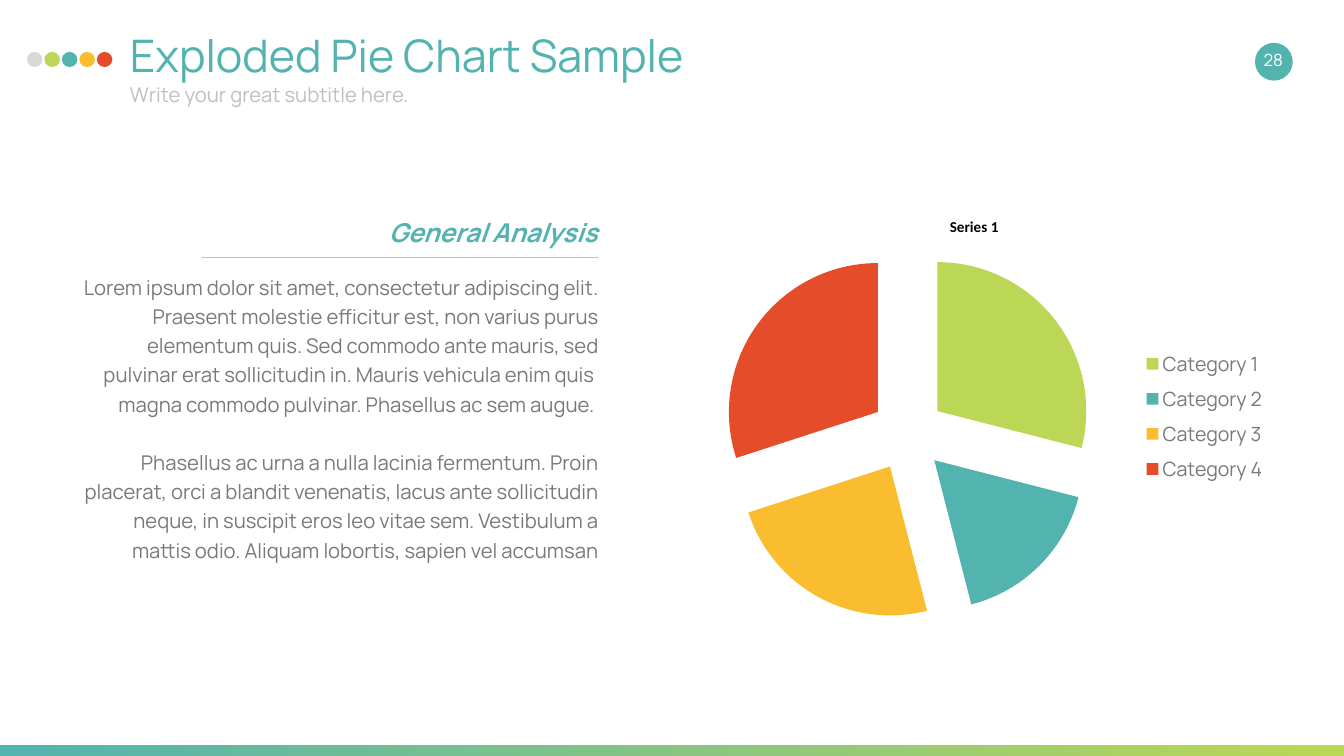
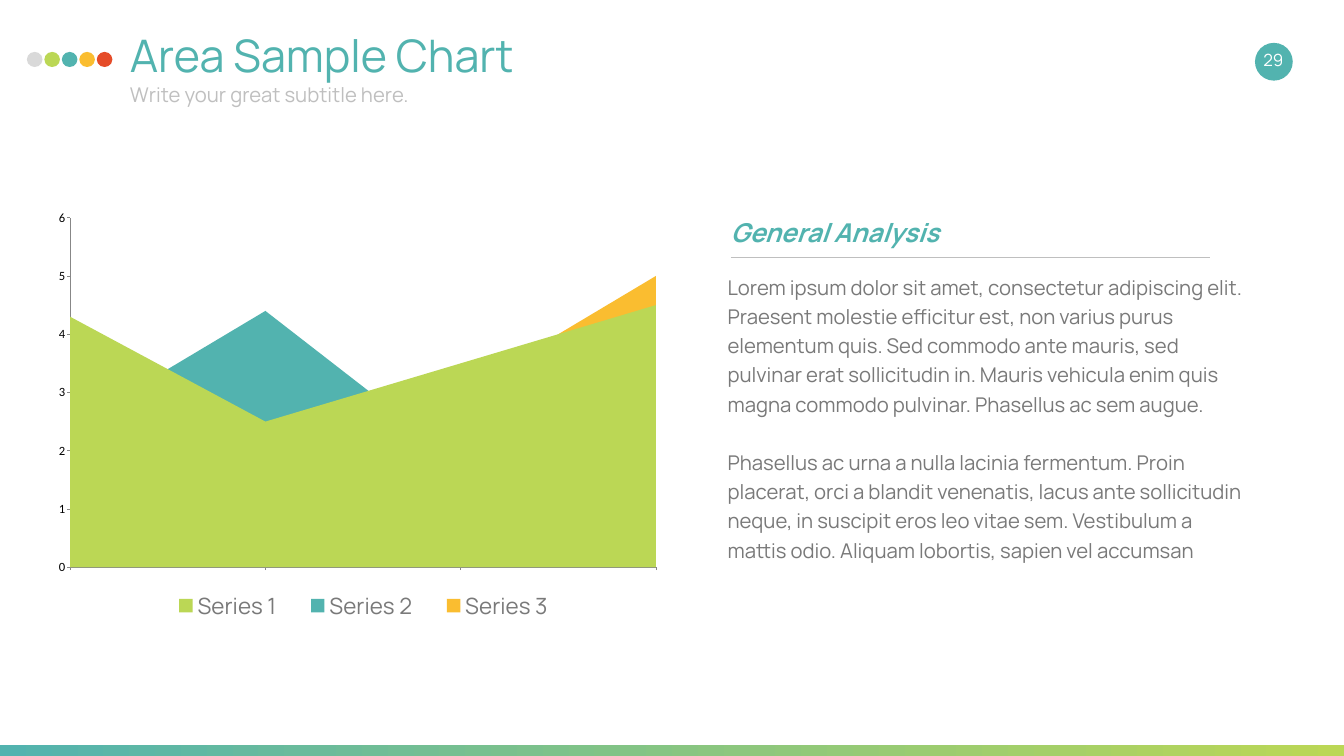
import dataclasses
import typing

import lxml.etree
import pptx
import pptx.chart.chart
import pptx.chart.data
import pptx.dml.color
import pptx.enum.chart
import pptx.enum.shapes
import pptx.enum.text
import pptx.oxml.ns
import pptx.shapes.autoshape
import pptx.slide
import pptx.util

Slide = pptx.slide.Slide
Chart = pptx.chart.chart.Chart
Kind = pptx.enum.chart.XL_CHART_TYPE
Place = pptx.enum.chart.XL_LEGEND_POSITION
Form = pptx.enum.shapes.MSO_SHAPE
Align = pptx.enum.text.PP_ALIGN
Anchor = pptx.enum.text.MSO_ANCHOR
Fit = pptx.enum.text.MSO_AUTO_SIZE
qn = pptx.oxml.ns.qn


@dataclasses.dataclass(frozen=True)
class Theme:
    """Colours, fonts and type sizes of the deck."""
    teal: str = "52B3AF"
    lime: str = "BBD755"
    gold: str = "FABD30"
    red: str = "E54C29"
    pale: str = "D9D9D9"
    rule: str = "BFBFBF"
    grey: str = "797979"
    axis: str = "878787"
    white: str = "FFFFFF"
    black: str = "000000"
    face: str = "Manrope"
    plain: str = "Calibri"
    title: float = 64
    head: float = 37
    body: float = 29
    page: float = 24
    label: float = 18
    name: float = 21.6
    gap: float = 41.8
    lead: float = 1.2
    hair: float = 0.25

    @property
    def tints(self) -> tuple[str, ...]:
        """Return the colours of chart parts in order."""
        return self.lime, self.teal, self.gold, self.red


class Box(typing.NamedTuple):
    """A place on the grid in columns and rows, or in shares."""
    left: float
    top: float
    width: float
    height: float

    def spans(self) -> tuple[int, ...]:
        """Return the four lengths in slide units."""
        return tuple(cells(part) for part in self)


@dataclasses.dataclass(frozen=True)
class Panel:
    """A text panel with its heading and rule."""
    left: float
    start: float
    end: float
    align: Align
    tail: str = ""


@dataclasses.dataclass(frozen=True)
class Graph:
    """A chart with its place, data and legend."""
    kind: Kind
    left: float
    groups: tuple[str, ...]
    rows: tuple[tuple[float, ...], ...]
    place: Place
    size: float
    share: Box


@dataclasses.dataclass(frozen=True)
class Page:
    """The content of one slide."""
    title: str
    number: int
    graph: Graph
    panel: Panel


THEME = Theme()
COLS, ROWS = 80, 45
CELL = pptx.util.Inches(1) / 3
SUB = "Write your great subtitle here."
HEAD = "General Analysis"
PARTS = (
    "Lorem ipsum dolor sit amet, consectetur adipiscing elit. Praesent molestie "
    "efficitur est, non varius purus elementum quis. Sed commodo ante mauris, sed "
    "pulvinar erat sollicitudin in. Mauris vehicula enim quis",
    "magna commodo pulvinar. Phasellus ac sem augue.",
    "Phasellus ac urna a nulla lacinia fermentum. Proin placerat, orci a blandit "
    "venenatis, lacus ante sollicitudin neque, in suscipit eros leo vitae sem. "
    "Vestibulum a mattis odio. Aliquam lobortis, sapien vel accumsan",
)
PAGES = (
    Page(
        "Exploded Pie Chart Sample", 28,
        Graph(Kind.PIE_EXPLODED, 39.48,
              ("Category 1", "Category 2", "Category 3", "Category 4"),
              ((29, 17, 24, 30), (21, 39, 16, 25), (17, 17, 25, 42)),
              Place.RIGHT, 28, Box(0.76, 0.33, 0.22, 0.35)),
        Panel(3.72, 12, 35.58, Align.RIGHT, " "),
    ),
    Page(
        "Area Sample Chart", 29,
        Graph(Kind.AREA, 2.76, ("1", "2", "3", "4"),
              ((4.3, 2.5, 3.5, 4.5), (2.4, 4.4, 1.8, 2.8), (2, 2, 3, 5)),
              Place.BOTTOM, 32, Box(0.17, 0.9, 0.68, 0.1)),
        Panel(42.51, 43.5, 72.03, Align.LEFT),
    ),
)


def cells(count: float) -> int:
    """Turn a count of grid cells into slide units."""
    return round(count * CELL)


def tint(code: str) -> pptx.dml.color.RGBColor:
    """Return the colour for a hex code."""
    return pptx.dml.color.RGBColor.from_string(code)


def style(font: typing.Any, size: float, color: str, face: str = THEME.face,
          bold: bool = False, slant: bool = False) -> None:
    """Set every trait of a font."""
    font.name, font.size = face, pptx.util.Pt(size)
    font.bold, font.italic = bold, slant
    font.color.rgb = tint(color)


def write(slide: Slide, box: Box, *parts: str, size: float, color: str,
          align: Align = Align.LEFT, anchor: Anchor = Anchor.TOP,
          lead: float = 1.0, gaps: typing.Sequence[float] = (),
          fit: Fit = Fit.NONE, bold: bool = False, slant: bool = False,
          holder: typing.Any = None) -> None:
    """Write paragraphs into a placeholder or a new text box."""
    item = holder or slide.shapes.add_textbox(*box.spans())
    item.left, item.top, item.width, item.height = box.spans()
    body = item.text_frame
    body.word_wrap, body.auto_size, body.vertical_anchor = True, fit, anchor
    body.margin_left = body.margin_right = cells(0.8)
    body.margin_top = body.margin_bottom = cells(0.4)
    for spot, part in enumerate(parts):
        para = body.add_paragraph() if spot else body.paragraphs[0]
        para.alignment, para.line_spacing = align, lead
        if spot < len(gaps) and gaps[spot]:
            para.space_before = pptx.util.Pt(gaps[spot])
        run = para.add_run()
        run.text = part
        style(run.font, size, color, bold=bold, slant=slant)


def shape(slide: Slide, form: Form, box: Box,
          color: str) -> pptx.shapes.autoshape.Shape:
    """Draw a flat shape with no outline."""
    item = slide.shapes.add_shape(form, *box.spans())
    item.shadow.inherit = False
    item.fill.solid()
    item.fill.fore_color.rgb = tint(color)
    item.line.fill.background()
    return item


def frame(slide: Slide, page: Page) -> None:
    """Draw the band, dots, page badge and titles."""
    band = shape(slide, Form.RECTANGLE, Box(0, ROWS - 0.63, COLS, 1.14), THEME.teal)
    band.fill.gradient()
    band.fill.gradient_angle = 0
    for stop, spot, color in zip(band.fill.gradient_stops, (0, 1),
                                 (THEME.teal, THEME.lime)):
        stop.position, stop.color.rgb = spot, tint(color)
    for step, color in enumerate((THEME.pale, *THEME.tints)):
        shape(slide, Form.OVAL, Box(1.6 + 1.04 * step, 3.09, 0.93, 0.9), color)
    shape(slide, Form.OVAL, Box(74.7, 2.55, 2.25, 2.25), THEME.teal)
    write(slide, Box(6.93, 1.23, 63.75, 4.8), page.title, size=THEME.title,
          color=THEME.teal, holder=slide.shapes.title)
    write(slide, Box(6.93, 4.5, 63.75, 2.55), SUB, size=THEME.body, color=THEME.rule)
    write(slide, Box(74.04, 2.34, 3.51, 2.4), str(page.number), size=THEME.page,
          color=THEME.white, align=Align.CENTER, anchor=Anchor.MIDDLE)


def prose(slide: Slide, panel: Panel) -> None:
    """Draw the heading, rule and body text of a panel."""
    first, second, third = PARTS
    write(slide, Box(panel.left, 15.67, 32.73, 20.1), first + panel.tail,
          second + panel.tail, third, size=THEME.body, color=THEME.grey,
          align=panel.align, lead=THEME.lead, gaps=(0, 0, THEME.gap))
    write(slide, Box(panel.left + 0.18, 12.15, 32.46, 3), HEAD, size=THEME.head,
          color=THEME.teal, align=panel.align, lead=THEME.lead,
          fit=Fit.SHAPE_TO_FIT_TEXT, bold=True, slant=True)
    line = slide.shapes.add_connector(
        pptx.enum.shapes.MSO_CONNECTOR.STRAIGHT, cells(panel.start), cells(15.33),
        cells(panel.end), cells(15.33))
    line.line.color.rgb = tint(THEME.rule)
    line.line.width = pptx.util.Pt(THEME.hair)
    lxml.etree.SubElement(line._element.spPr, qn("a:effectLst"))


def slices(chart: Chart) -> None:
    """Title the pie and colour its slices."""
    title = chart.chart_title.text_frame
    title.text = chart.series[0].name
    style(title.paragraphs[0].runs[0].font, THEME.name, THEME.black,
          face=THEME.plain, bold=True)
    chart.plots[0].vary_by_categories = True
    for spot, color in enumerate(THEME.tints):
        fill = chart.series[0].points[spot].format.fill
        fill.solid()
        fill.fore_color.rgb = tint(color)


def layers(chart: Chart) -> None:
    """Colour the areas and set both axes."""
    chart.has_title = False
    chart.plots[0].vary_by_categories = False
    for row, color in zip(chart.series, THEME.tints):
        row.format.fill.solid()
        row.format.fill.fore_color.rgb = tint(color)
    for axis in (chart.category_axis, chart.value_axis):
        axis.has_major_gridlines = False
        axis.major_tick_mark = pptx.enum.chart.XL_TICK_MARK.OUTSIDE
        axis.minor_tick_mark = pptx.enum.chart.XL_TICK_MARK.NONE
        axis.format.line.color.rgb = tint(THEME.axis)
        axis.format.line.width = pptx.util.Pt(0.75)
    chart.category_axis.tick_label_position = (
        pptx.enum.chart.XL_TICK_LABEL_POSITION.NONE)
    scale = chart.value_axis
    scale.minimum_scale, scale.maximum_scale, scale.major_unit = 0, 6, 1


def legend(chart: Chart, graph: Graph) -> None:
    """Place and format the legend."""
    chart.has_legend = True
    key = chart.legend
    key.position, key.include_in_layout = graph.place, False
    style(key.font, graph.size, THEME.grey)
    root = key._element
    for old in root.findall(qn("c:layout")):
        root.remove(old)
    layout = lxml.etree.Element(qn("c:layout"))
    root.find(qn("c:legendPos")).addnext(layout)
    manual = lxml.etree.SubElement(layout, qn("c:manualLayout"))
    pairs = [("xMode", "edge"), ("yMode", "edge"), *zip("xywh", graph.share)]
    for tag, value in pairs:
        lxml.etree.SubElement(manual, qn("c:" + tag)).set("val", str(value))


def plot(slide: Slide, graph: Graph) -> None:
    """Add a chart with all its series."""
    data = pptx.chart.data.CategoryChartData()
    data.categories = graph.groups
    for count, values in enumerate(graph.rows, 1):
        data.add_series(f"Series {count}", values)
    box = Box(graph.left, 12, 37.02, 25.32)
    chart = slide.shapes.add_chart(graph.kind, *box.spans(), data).chart
    style(chart.font, THEME.label, THEME.black, face=THEME.plain)
    legend(chart, graph)
    if graph.kind == Kind.AREA:
        layers(chart)
    else:
        slices(chart)
        chart.replace_data(data)


def main() -> None:
    """Build and save the deck."""
    deck = pptx.Presentation()
    deck.slide_width, deck.slide_height = cells(COLS), cells(ROWS)
    for page in PAGES:
        slide = deck.slides.add_slide(deck.slide_layouts[5])
        frame(slide, page)
        plot(slide, page.graph)
        prose(slide, page.panel)
    deck.save("out.pptx")


if __name__ == "__main__":
    main()
